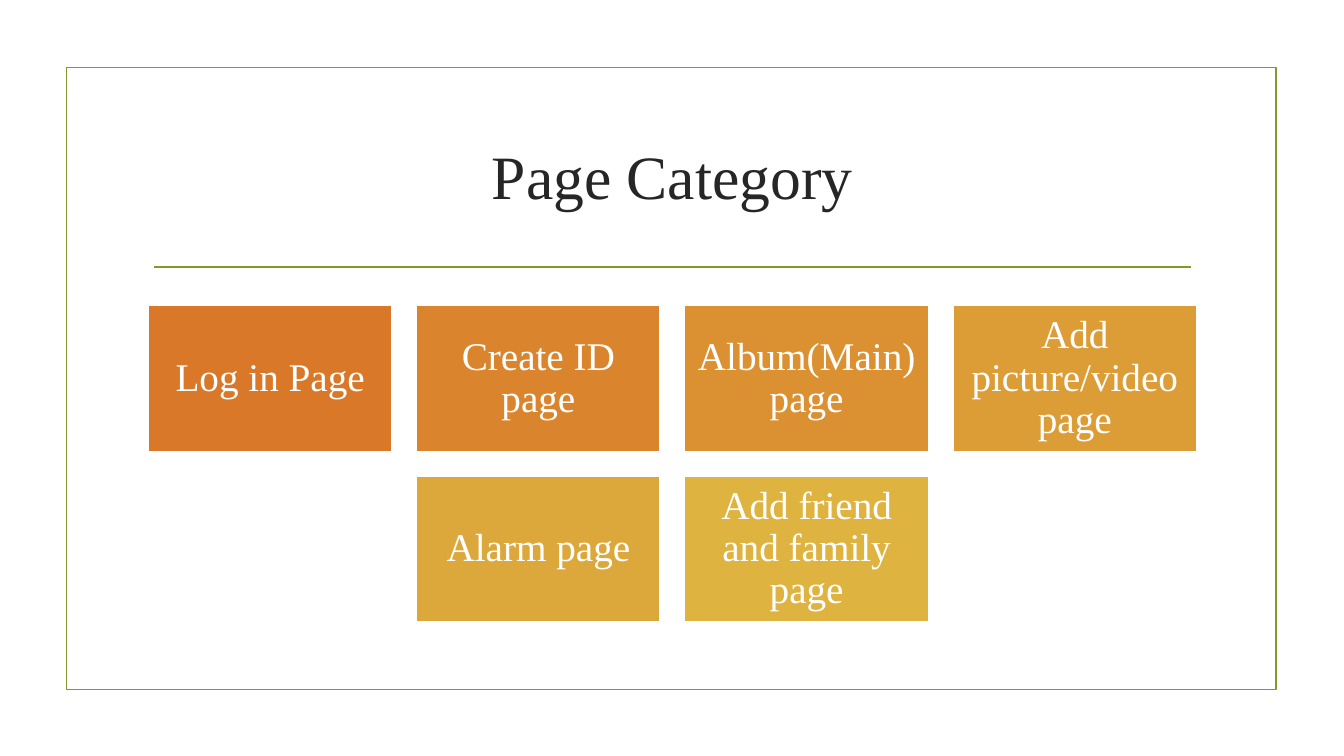
from lxml import etree
from pptx import Presentation
from pptx.dml.color import RGBColor
from pptx.enum.shapes import MSO_CONNECTOR, MSO_SHAPE
from pptx.enum.text import MSO_ANCHOR, PP_ALIGN
from pptx.oxml.ns import qn
from pptx.util import Inches, Pt

RECTANGLE = MSO_SHAPE.RECTANGLE
STRAIGHT = MSO_CONNECTOR.STRAIGHT
MIDDLE = MSO_ANCHOR.MIDDLE
CENTER = PP_ALIGN.CENTER

FONT = "Times New Roman"
GREEN = RGBColor(0x83, 0x99, 0x2A)
DARK = RGBColor(0x26, 0x26, 0x26)
WHITE = RGBColor(0xFF, 0xFF, 0xFF)
LINE_WIDTH = Pt(1.25)

CARD_ROWS = [
    [
        ("Log in Page", RGBColor(0xD9, 0x78, 0x28)),
        ("Create ID page", RGBColor(0xDA, 0x85, 0x2D)),
        ("Album(Main) page", RGBColor(0xDB, 0x91, 0x32)),
        ("Add picture/video page", RGBColor(0xDC, 0x9D, 0x36)),
    ],
    [
        ("Alarm page", RGBColor(0xDD, 0xA8, 0x3B)),
        ("Add friend and family page", RGBColor(0xDE, 0xB3, 0x40)),
    ],
]
CARD_WIDTH, CARD_HEIGHT, CARD_GAP = 2.42, 1.45, 0.24
CARDS_TOP, CARDS_CENTER = 3.03, 6.67


def write_text(shape, text, size, color, inset):
    frame = shape.text_frame
    frame.word_wrap = True
    frame.vertical_anchor = MIDDLE
    frame.margin_left = frame.margin_right = Inches(inset)
    frame.margin_top = frame.margin_bottom = Inches(inset)
    para = frame.paragraphs[0]
    para.alignment = CENTER
    para.line_spacing = 0.9
    span = para.add_run()
    span.text = text
    span.font.name = FONT
    span.font.size = Pt(size)
    span.font.color.rgb = color


def add_rectangle(page, left, top, width, height, line_color):
    box = page.shapes.add_shape(
        RECTANGLE, Inches(left), Inches(top), Inches(width), Inches(height))
    box.shadow.inherit = False
    box.line.color.rgb = line_color
    box.line.width = LINE_WIDTH
    return box


def add_frame(page):
    frame = add_rectangle(page, 0.66, 0.67, 12, 6.17, GREEN)
    frame.fill.background()


def add_divider(page):
    divider = page.shapes.add_connector(
        STRAIGHT, Inches(1.53), Inches(2.65), Inches(11.81), Inches(2.65))
    divider.line.color.rgb = GREEN
    divider.line.width = LINE_WIDTH
    etree.SubElement(divider._element.spPr, qn("a:effectLst"))


def add_title(page, text):
    title = page.shapes.add_textbox(
        Inches(1.42), Inches(1.07), Inches(10.5), Inches(1.43))
    write_text(title, text, 44, DARK, 0.05)


def add_cards(page):
    """Lay out the cards in rows, each row centred on the same axis."""
    for row, cards in enumerate(CARD_ROWS):
        row_width = len(cards) * (CARD_WIDTH + CARD_GAP) - CARD_GAP
        row_left = CARDS_CENTER - row_width / 2
        top = CARDS_TOP + row * (CARD_HEIGHT + CARD_GAP)
        for column, (label, color) in enumerate(cards):
            left = row_left + column * (CARD_WIDTH + CARD_GAP)
            card = add_rectangle(page, left, top, CARD_WIDTH, CARD_HEIGHT, WHITE)
            card.fill.solid()
            card.fill.fore_color.rgb = color
            write_text(card, label, 28, WHITE, 0.12)


def main():
    deck = Presentation()
    deck.slide_width = Inches(13.33)
    deck.slide_height = Inches(7.5)
    page = deck.slides.add_slide(deck.slide_layouts[6])
    add_frame(page)
    add_divider(page)
    add_title(page, "Page Category")
    add_cards(page)
    deck.save("out.pptx")


if __name__ == "__main__":
    main()
